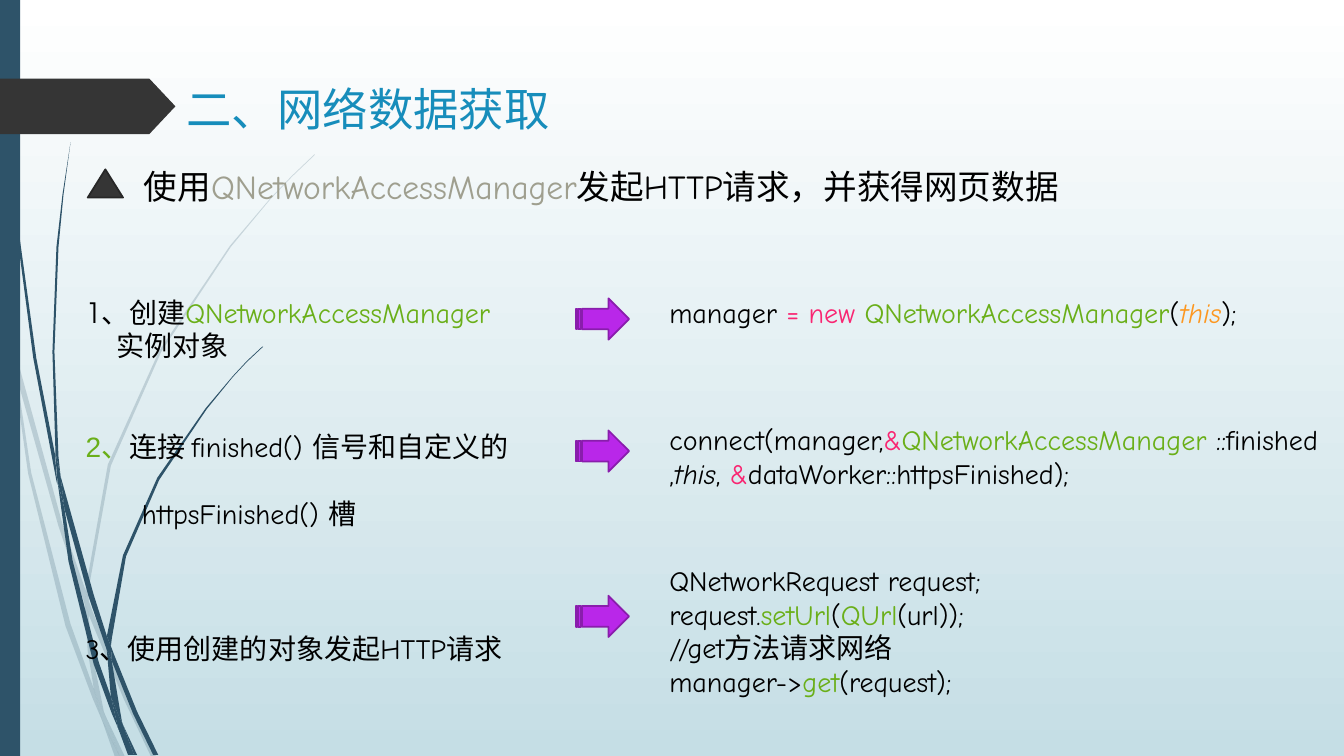
from dataclasses import dataclass

from lxml.etree import SubElement
from pptx import Presentation
from pptx.dml.color import RGBColor
from pptx.enum.shapes import MSO_SHAPE
from pptx.enum.text import MSO_ANCHOR, PP_ALIGN
from pptx.oxml.ns import qn
from pptx.util import Emu, Pt


@dataclass(frozen=True)
class Theme:
    sky: tuple = ("FFFFFF", "C5DEE5")
    grass: str = "2E5369"
    dark: tuple = ("353535", "272727")
    arrow: tuple = ("B927E9", "891DAC")
    title: str = "178DBB"
    text: str = "000000"
    muted: str = "9F9F8F"
    green: str = "6AAF19"
    pink: str = "F92672"
    orange: str = "FD971F"
    heading_font: str = "TeX Gyre Adventor"
    code_font: str = "Comic Neue"
    number_font: str = "Arial"
    title_size: float = 32.4
    lead_size: int = 24
    body_size: int = 20
    edge_width: float = 1.25
    faint_percent: int = 20


THEME = Theme()
PX = 9144  # 100 px to the inch
SLIDE_SIZE = (1333, 750)

# Run styles: values that differ from black code text
STYLES = {
    "code": {},
    "heading": {"name": THEME.heading_font},
    "number": {"name": THEME.number_font, "color": THEME.green},
    "muted": {"color": THEME.muted},
    "class": {"color": THEME.green},
    "operator": {"color": THEME.pink},
    "self": {"color": THEME.orange, "italic": True},
    "italic": {"italic": True},
}

TITLE = ("二、网络数据获取", (175, 76, 386, 63))

# Paragraph: (runs, space before in points, indent in px)
LEAD = [([("使用", "heading"), ("QNetworkAccessManager", "muted"),
          ("发起HTTP请求，并获得网页数据", "code")], 0, 0)]
STEPS = [
    ([("1、创建", "heading"), ("QNetworkAccessManager", "class")], 0, 0),
    ([("实例对象", "code")], 0, 31),
    ([("2、", "number"), ("连接 finished() 信号和自定义的", "code")], 48, 0),
    ([("httpsFinished() 槽", "code")], 24, 56),
    ([("3、使用创建的对象发起HTTP请求", "code")], 72, 0),
]
CONNECT_CODE = [
    ([("manager ", "code"), ("= new ", "operator"), ("QNetworkAccessManager", "class"),
      ("(", "code"), ("this", "self"), (");", "code")], 0, 0),
    ([("connect(manager,", "code"), ("&", "operator"), ("QNetworkAccessManager ", "class"),
      ("::finished,", "code"), ("this", "italic"), (", ", "code"), ("&", "operator"),
      ("dataWorker::httpsFinished);", "code")], 67, 0),
]
REQUEST_CODE = [
    ([("QNetworkRequest request;", "code")], 0, 0),
    ([("request.", "code"), ("setUrl", "class"), ("(", "code"),
      ("QUrl", "class"), ("(url));", "code")], 0, 0),
    ([("//get方法请求网络", "code")], 0, 0),
    ([("manager->", "code"), ("get", "class"), ("(request);", "code")], 0, 0),
]
TEXTS = [
    (LEAD, (133, 160, 1027, 50), THEME.lead_size),
    (CONNECT_CODE, (654, 288, 667, 205), THEME.body_size),
    (STEPS, (75, 288, 465, 380), THEME.body_size),
    (REQUEST_CODE, (654, 554, 540, 145), THEME.body_size),
]
ARROW_TOPS = (296, 427, 591)

# Outlines of the grass blades, each blade in several joined pieces
FAINT_GRASS = [
    [(11, 350), (9, 322), (0, 282), (0, 299), (10, 344)],
    [(58, 522), (84, 599), (85, 586), (62, 520), (14, 345), (17, 376)],
    [(92, 607), (88, 596), (88, 610), (123, 694), (150, 751), (155, 751), (127, 692)],
    [(119, 751), (124, 751), (105, 711)],
    [(93, 683), (70, 619), (31, 469), (17, 376), (11, 350), (28, 470), (65, 621), (92, 693),
     (101, 714), (99, 707)],
    [(84, 599), (87, 646), (93, 683), (96, 692), (105, 711), (103, 706), (91, 646), (88, 610),
     (88, 608)],
    [(88, 584), (110, 462), (160, 349), (229, 245), (268, 198), (290, 175), (312, 154), (312, 153),
     (289, 175), (268, 197), (228, 244), (158, 348), (107, 461), (85, 584), (85, 586), (88, 596)],
    [(101, 714), (114, 751), (119, 751)],
    [(88, 608), (88, 610), (88, 596), (85, 586), (84, 599)],
    [(96, 692), (93, 683), (99, 707), (101, 714), (119, 751), (105, 711)],
]
DARK_GRASS = [
    [(7, 110), (17, 233), (33, 355), (56, 477), (57, 481), (55, 457), (55, 453), (36, 355),
     (19, 232), (8, 109), (5, 48), (4, 0), (3, 0), (4, 48)],
    [(88, 592), (106, 645), (106, 633), (106, 631), (93, 590), (60, 472), (64, 505)],
    [(113, 649), (110, 641), (111, 656), (132, 708), (152, 749), (157, 749), (136, 706)],
    [(110, 691), (98, 657), (72, 556), (64, 505), (57, 477), (68, 557), (93, 659), (111, 708),
     (117, 722), (116, 717)],
    [(60, 472), (58, 453), (54, 349), (58, 245), (63, 193), (70, 141), (62, 193), (56, 245),
     (52, 349), (55, 449)],
    [(133, 749), (136, 749), (122, 719)],
    [(57, 477), (64, 505), (60, 472), (55, 449), (55, 453)],
    [(111, 633), (125, 552), (158, 476), (205, 406), (231, 374), (245, 359), (261, 344), (260, 344),
     (245, 358), (231, 373), (204, 405), (156, 474), (122, 551), (106, 631), (110, 641)],
    [(117, 722), (127, 749), (131, 749)],
    [(106, 645), (110, 691), (116, 706), (122, 719), (121, 716), (111, 656), (109, 651)],
    [(106, 645), (109, 651), (111, 656), (110, 641), (106, 631), (106, 633)],
    [(116, 706), (110, 691), (116, 717), (117, 722), (130, 749), (133, 749), (122, 719)],
]


def emu(box):
    return [Emu(length * PX) for length in box]


def rgb(value):
    return RGBColor.from_string(value)


def paint(shape, fill, edge=None):
    shape.shadow.inherit = False
    shape.fill.solid()
    shape.fill.fore_color.rgb = rgb(fill)
    if edge:
        shape.line.color.rgb = rgb(edge)
        shape.line.width = Pt(THEME.edge_width)
    else:
        shape.line.fill.background()


def add_preset(slide, preset, box, *colors):
    shape = slide.shapes.add_shape(preset, *emu(box))
    paint(shape, *colors)
    return shape


def add_grass(slide, outline, opacity):
    builder = slide.shapes.build_freeform(*outline[0], scale=PX)
    builder.add_line_segments(outline[1:], close=True)
    blade = builder.convert_to_shape()
    paint(blade, THEME.grass)
    if opacity < 100:
        color = blade.fill._xPr.find(qn("a:solidFill"))[0]
        SubElement(color, qn("a:alpha"), val=str(opacity * 1000))


def add_run(paragraph, words, size, **changes):
    run = paragraph.add_run()
    run.text = words
    values = {"name": THEME.code_font, "color": THEME.text, "size": Pt(size), **changes}
    run.font.color.rgb = rgb(values.pop("color"))
    for attribute, value in values.items():
        setattr(run.font, attribute, value)


def add_text(slide, paragraphs, box, size):
    frame = slide.shapes.add_textbox(*emu(box)).text_frame
    frame.word_wrap = True
    for index, (runs, space, indent) in enumerate(paragraphs):
        paragraph = frame.add_paragraph() if index else frame.paragraphs[0]
        paragraph.space_before = Pt(space)
        paragraph._p.get_or_add_pPr().set("marL", str(indent * PX))
        for words, style in runs:
            add_run(paragraph, words, size, **STYLES[style])


def set_title(slide):
    words, box = TITLE
    title = slide.shapes.title
    title.left, title.top, title.width, title.height = emu(box)
    frame = title.text_frame
    frame.word_wrap = False
    frame.vertical_anchor = MSO_ANCHOR.MIDDLE
    frame.paragraphs[0].alignment = PP_ALIGN.LEFT
    add_run(frame.paragraphs[0], words, THEME.title_size,
            name=THEME.heading_font, color=THEME.title)


def main():
    deck = Presentation()
    deck.slide_width, deck.slide_height = emu(SLIDE_SIZE)
    slide = deck.slides.add_slide(deck.slide_layouts[5])
    sky = slide.background.fill
    sky.gradient()
    sky.gradient_angle = 270
    for stop, color in zip(sky.gradient_stops, THEME.sky):
        stop.color.rgb = rgb(color)
    for grass, opacity in ((FAINT_GRASS, THEME.faint_percent), (DARK_GRASS, 100)):
        for outline in grass:
            add_grass(slide, outline, opacity)
    add_preset(slide, MSO_SHAPE.RECTANGLE, (0, 0, 20, 750), THEME.grass)
    tag = add_preset(slide, MSO_SHAPE.PENTAGON, (0, 78, 174, 55), THEME.dark[0])
    tag.adjustments[0] = 0.47
    set_title(slide)
    add_preset(slide, MSO_SHAPE.ISOSCELES_TRIANGLE, (87, 168, 35, 28), *THEME.dark)
    for text in TEXTS:
        add_text(slide, *text)
    for top in ARROW_TOPS:
        add_preset(slide, MSO_SHAPE.STRIPED_RIGHT_ARROW, (571, top, 53, 41), *THEME.arrow)
    deck.save("out.pptx")


if __name__ == "__main__":
    main()
